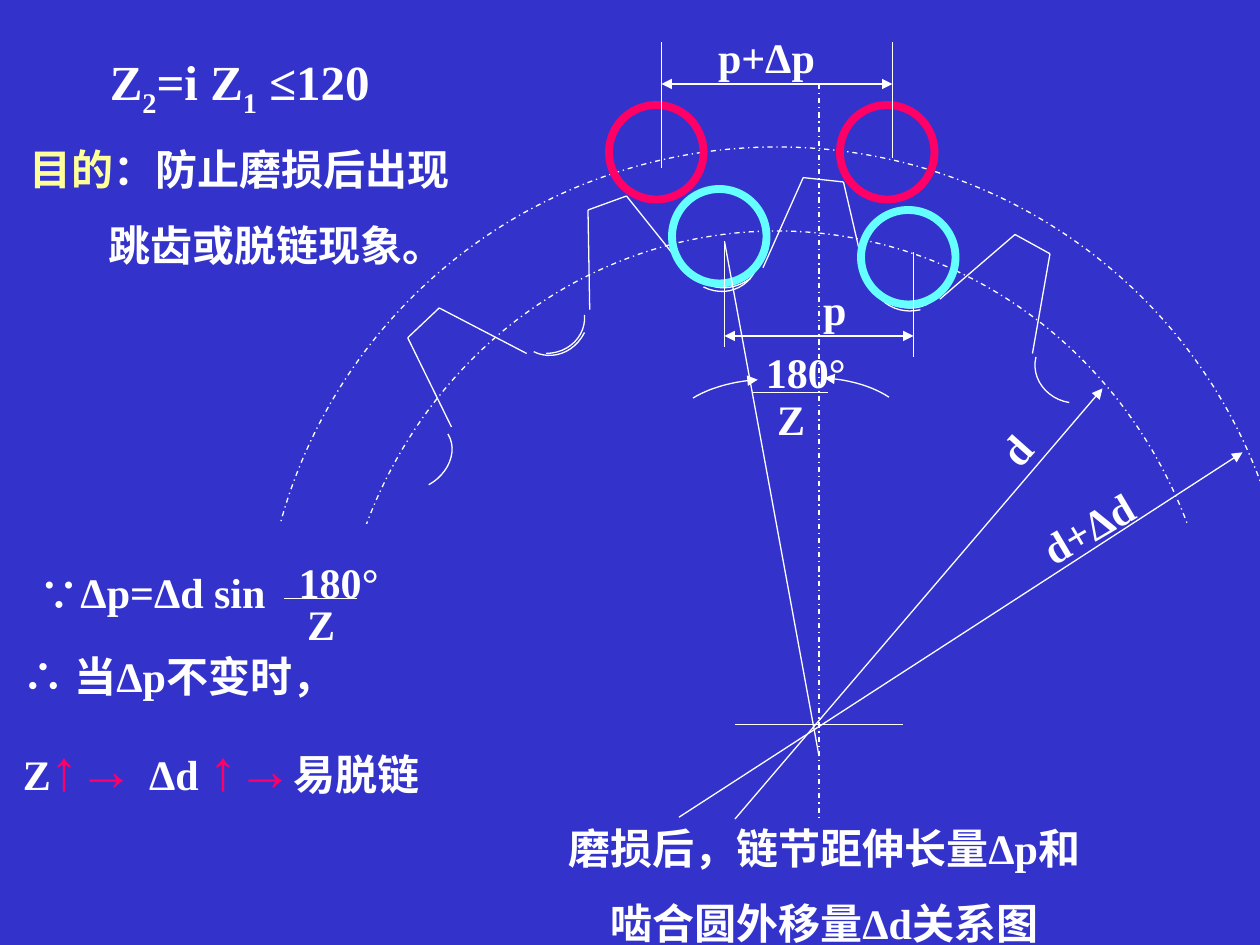
import pptx
import pptx.util
import pptx.dml.color
import pptx.enum.dml
import pptx.enum.shapes
import pptx.enum.text
from pptx.oxml.ns import qn
from lxml import etree

Pt = pptx.util.Pt
SHAPE = pptx.enum.shapes.MSO_SHAPE
ALIGN = pptx.enum.text.PP_ALIGN
DASH_DOT = pptx.enum.dml.MSO_LINE.DASH_DOT
FONT = "Times New Roman"
COLORS = {"blue": "3333CC", "white": "FFFFFF", "yellow": "FFFF99",
          "cyan": "66FFFF", "pink": "FF0066"}


def rgb(name):
    return pptx.dml.color.RGBColor.from_string(COLORS[name])


def style_line(sp, color="white", width=0.75, dash=None, arrows=()):
    sp.line.color.rgb = rgb(color)
    sp.line.width = Pt(width)
    if dash:
        sp.line.dash_style = dash
    for end in arrows:
        etree.SubElement(sp.line._get_or_add_ln(), qn("a:" + end), type="triangle")


def add_line(s, start, end, dash=None, arrows=()):
    kind = pptx.enum.shapes.MSO_CONNECTOR.STRAIGHT
    cn = s.shapes.add_connector(kind, *[Pt(v) for v in (*start, *end)])
    style_line(cn, dash=dash, arrows=arrows)
    etree.SubElement(cn._element.spPr, qn("a:effectLst"))


def add_curve(s, points, arrows=()):
    """Draw a cubic curve through its four control points."""
    steps = 12
    curve = []
    for i in range(steps + 1):
        t = i / steps
        weights = ((1 - t) ** 3, 3 * t * (1 - t) ** 2, 3 * t * t * (1 - t), t ** 3)
        curve.append(tuple(Pt(sum(w * pt[axis] for w, pt in zip(weights, points)))
                           for axis in (0, 1)))
    fb = s.shapes.build_freeform(*curve[0])
    fb.add_line_segments(curve[1:], close=False)
    sp = fb.convert_to_shape()
    sp.shadow.inherit = False
    sp.fill.background()
    style_line(sp, arrows=arrows)


def add_shape(s, kind, box, color="white", width=0.75, dash=None, fill=None):
    sp = s.shapes.add_shape(kind, *[Pt(v) for v in box])
    sp.shadow.inherit = False
    if fill:
        sp.fill.solid()
        sp.fill.fore_color.rgb = rgb(fill)
    else:
        sp.fill.background()
    style_line(sp, color, width, dash)


def add_text(s, box, lines, align=ALIGN.CENTER, wrap=True, rotation=0, indents=()):
    """Each line is a list of runs: (text, size, colour, baseline), text first."""
    sp = s.shapes.add_textbox(*[Pt(v) for v in box])
    sp.rotation = rotation
    tf = sp.text_frame
    tf.word_wrap = wrap
    for i, runs in enumerate(lines):
        p = tf.paragraphs[0] if i == 0 else tf.add_paragraph()
        p.alignment = align
        p.line_spacing = 1.5
        if i < len(indents) and indents[i]:
            p._p.get_or_add_pPr().set("marL", str(Pt(indents[i])))
        for text, size, color, baseline in runs:
            r = p.add_run()
            r.text = text
            r.font.name = FONT
            r.font.size = Pt(size)
            r.font.bold = True
            r.font.color.rgb = rgb(color)
            if baseline:
                r.font._element.set("baseline", str(baseline * 1000))


def run(text, size=24, color="white", baseline=0):
    return text, size, color, baseline


def add_label(s, box, text, **options):
    add_text(s, box, [[run(text)]], **options)


def add_pitch_circles(s):
    for box in ((192, 132, 504, 528), (150, 84, 588, 582)):
        add_shape(s, SHAPE.OVAL, box, dash=DASH_DOT)
    # Lower half is masked by the background colour
    add_shape(s, SHAPE.RECTANGLE, (132, 300, 672, 240), "blue", fill="blue")


def add_teeth(s):
    teeth = [
        [(258, 244), (233, 193), (251, 176), (301, 202)],
        [(337, 177), (336, 120), (358, 112), (394, 157)],
        [(436, 153), (459, 101.5), (482, 104), (495, 160)],
        [(537, 171), (580, 134), (600, 145), (590, 202)],
    ]
    for tooth in teeth:
        for start, end in zip(tooth, tooth[1:]):
            add_line(s, start, end)
    roots = [
        [(256, 248), (262, 258), (256, 271), (245, 277)],
        [(305, 201), (315, 206), (328, 202), (334, 190)],
        [(334, 180), (335, 192), (325, 202), (312, 202)],
        [(397, 157), (405, 166), (418, 167), (429, 159)],
        [(432, 154), (427, 165), (414, 170), (402, 164)],
        [(498, 161), (501, 173), (513, 180), (526, 177)],
        [(534, 171), (525, 179), (511, 177), (502, 168)],
        [(592, 204), (589, 216), (598, 228), (611, 230)],
    ]
    for root in roots:
        add_curve(s, root)


def add_rollers(s):
    for x, y, color in ((492, 120, "cyan"), (384, 108, "cyan"),
                        (480, 60, "pink"), (348, 60, "pink")):
        add_shape(s, SHAPE.OVAL, (x, y, 54, 54), color, 4.5)


def add_dimensions(s):
    both = ("headEnd", "tailEnd")
    # Axes and radii
    add_line(s, (468, 48), (468, 468), dash=DASH_DOT)
    add_line(s, (420, 414), (516, 414))
    add_line(s, (414, 138), (468, 432))
    add_line(s, (420, 468), (630, 222), arrows=both[1:])
    add_line(s, (388, 467), (710, 258.5), arrows=both[1:])
    # Half-angle arrows
    add_curve(s, [(396, 227.5), (405, 222), (418, 218), (433, 217)], both[1:])
    add_curve(s, [(508, 227), (499, 221), (486, 217), (471, 216)], both[1:])
    # Pitch before and after wear, with extension lines
    for start, end in (((414, 138), (414, 198)), ((522, 144), (522, 204)),
                       ((378, 96), (378, 24)), ((510, 90), (510, 24))):
        add_line(s, start, end)
    add_line(s, (414, 192), (522, 192), arrows=both)
    add_line(s, (378, 48), (510, 48), arrows=both)
    # Labels
    add_label(s, (414, 144, 84, 50), "p", indents=[42])
    add_label(s, (396, 0, 84, 50), "p+Δp")
    add_label(s, (576, 270, 84, 50), "d+Δd", rotation=-30.5)
    add_label(s, (533, 227, 84, 50), "d", rotation=-48.3)


def add_fraction(s, top_box, bottom_box, bar_start, bar_end):
    add_label(s, top_box, "180°", wrap=False)
    add_line(s, bar_start, bar_end)
    add_label(s, bottom_box, "Z", wrap=False)


def add_statements(s):
    add_text(s, (0, 7, 274, 180), [
        [run("Z", 28), run("2", 28, baseline=-25), run("=i Z", 28),
         run("1", 28, baseline=-25), run(" ≤120", 28)],
        [run("目的", color="yellow"), run("：防止磨损后出现")],
        [run("跳齿或脱链现象。")],
    ], indents=[0, 0, 42])
    add_label(s, (0, 306, 174, 50), "∵Δp=Δd sin")
    add_text(s, (6, 354, 318, 108), [
        [run("∴ 当Δp不变时，")],
        [run("Z"), run("↑→ ", 32, "pink"), run("Δd "),
         run("↑→", 32, "pink"), run("易脱链")],
    ], align=ALIGN.LEFT)
    add_text(s, (246, 452, 450, 94), [
        [run("磨损后，链节距伸长量Δp和")],
        [run("啮合圆外移量Δd关系图")],
    ])


def main():
    prs = pptx.Presentation()
    prs.slide_width, prs.slide_height = Pt(720), Pt(540)
    s = prs.slides.add_slide(prs.slide_layouts[6])
    s.background.fill.solid()
    s.background.fill.fore_color.rgb = rgb("blue")

    # Sprocket and chain drawing
    add_pitch_circles(s)
    add_teeth(s)
    add_rollers(s)
    add_dimensions(s)
    add_fraction(s, (430.5, 180, 60, 50), (437, 207, 24, 50), (430.5, 224.5), (473, 224.5))

    # Formulas and text
    add_statements(s)
    add_fraction(s, (163.5, 300, 60, 50), (168.5, 324, 30, 50), (162, 342), (204, 342))
    prs.save("out.pptx")


if __name__ == "__main__":
    main()
